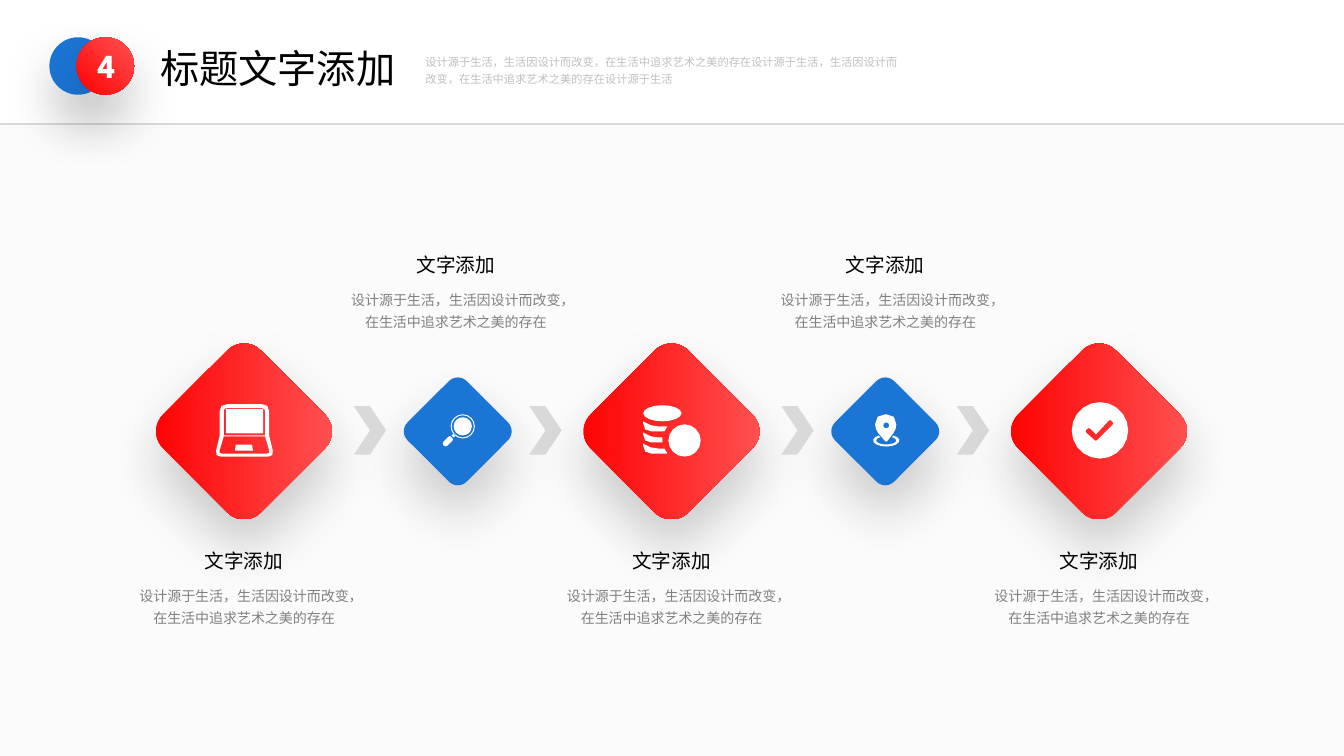
from dataclasses import dataclass
from math import cos, dist, radians, sin

from lxml import etree
from pptx import Presentation
from pptx.dml.color import RGBColor
from pptx.enum import shapes, text
from pptx.oxml import ns
from pptx.util import Inches, Pt

Contour = list[tuple[float, float]]
CJK_FONT, LATIN_FONT = "Noto Sans CJK SC", "League Spartan"
RED_GRADIENT = ("FE0000", "FF5353")
BLUE, GREY, WHITE = "1B75D5", "D9D9D9", "FFFFFF"
SLOGAN = "设计源于生活，生活因设计而改变，在生活中追求艺术之美的存在"
FIRST_X, STEP_X, ROW_Y = 2.42, 2.12, 4.28
CHEVRON_OFFSET = 0.87


@dataclass
class TextStyle:
    size: float
    color: str
    font: str
    align: text.PP_ALIGN = text.PP_ALIGN.LEFT
    spacing: float = 1.0
    wrap: bool = False
    bold: bool = False


@dataclass
class Step:
    is_main: bool
    icon: list[Contour]
    label_shift: float = 0


HEADING = TextStyle(28, "000000", CJK_FONT)
INTRO = TextStyle(8, "BFBFBF", LATIN_FONT, spacing=1.3, wrap=True)
NUMBER = TextStyle(24, WHITE, LATIN_FONT, text.PP_ALIGN.CENTER, bold=True)
LABEL = TextStyle(14, "000000", CJK_FONT, text.PP_ALIGN.CENTER)
DETAIL = TextStyle(10, "808080", LATIN_FONT, text.PP_ALIGN.CENTER, 1.3, True)


def arc(cx: float, cy: float, rx: float, ry: float, start: float = 0,
        end: float = 360, parts: int = 16) -> Contour:
    count = parts if end - start == 360 else parts + 1
    angles = [radians(start + (end - start) * i / parts) for i in range(count)]
    return [(cx + rx * cos(a), cy + ry * sin(a)) for a in angles]


def rounded(*corners: tuple[float, float, float]) -> Contour:
    """Closed polygon whose (x, y, cut) corners are curved over the cut length."""
    outline: Contour = []
    for i, (x, y, cut) in enumerate(corners):
        if not cut:
            outline.append((x, y))
            continue
        ends = []
        for nx, ny, _ in (corners[i - 1], corners[(i + 1) % len(corners)]):
            share = cut / dist((x, y), (nx, ny))
            ends.append((x + (nx - x) * share, y + (ny - y) * share))
        (ax, ay), (bx, by) = ends
        outline += [(ax, ay), ((ax + 2 * x + bx) / 4, (ay + 2 * y + by) / 4), (bx, by)]
    return outline


LAPTOP = [
    rounded((2.18, 4.01, .07), (2.67, 4.01, .07), (2.67, 4.32, 0),
            (2.72, 4.53, .06), (2.13, 4.53, .06), (2.18, 4.32, 0)),
    rounded((2.22, 4.05, .03), (2.63, 4.05, .03), (2.63, 4.32, 0), (2.22, 4.32, 0)),
    rounded((2.24, 4.06, 0), (2.61, 4.06, 0), (2.61, 4.3, 0), (2.24, 4.3, 0)),
    rounded((2.22, 4.33, 0), (2.63, 4.33, 0), (2.68, 4.5, .03), (2.17, 4.5, .03)),
    rounded((2.34, 4.41, 0), (2.5, 4.41, 0), (2.51, 4.47, 0), (2.33, 4.47, 0)),
]
MAGNIFIER = [
    *[arc(4.59, 4.23, r, r) for r in (.12, .11, .09)],
    rounded((4.46, 4.32, .02), (4.5, 4.36, .02), (4.42, 4.44, .03), (4.38, 4.4, .03)),
    rounded((4.5, 4.3, 0), (4.52, 4.32, 0), (4.5, 4.34, 0), (4.48, 4.32, 0)),
]
COINS = [
    arc(6.57, 4.1, .19, .08),
    arc(6.79, 4.37, .16, .16),
    *[rounded((6.38, 4.18 + drop, 0), (6.45, 4.23 + drop, .08), (top, 4.23 + drop, 0),
              (bottom, 4.28 + drop, 0), (6.38, 4.28 + drop, .08))
      for drop, top, bottom in ((0, 6.62, 6.59), (.11, 6.57, 6.57), (.22, 6.59, 6.62))],
]
PIN = [
    rounded((8.68, 4.11, .1), (8.89, 4.11, .1), (8.89, 4.26, .05),
            (8.79, 4.39, .02), (8.68, 4.26, .05)),
    arc(8.79, 4.22, .03, .03, parts=8),
    arc(8.79, 4.37, .13, .06, -55, 235, 12) + arc(8.79, 4.37, .1, .04, 235, -55, 12),
]
CHECK = [
    arc(10.91, 4.27, .28, .28, parts=20),
    rounded((10.76, 4.28, .02), (10.8, 4.24, .02), (10.87, 4.31, 0),
            (11.01, 4.16, .02), (11.05, 4.2, .02), (10.87, 4.38, .02)),
]
STEPS = [
    Step(True, LAPTOP),
    Step(False, MAGNIFIER, -0.02),
    Step(True, COINS),
    Step(False, PIN),
    Step(True, CHECK),
]


def rgb(hex_color: str) -> RGBColor:
    return RGBColor.from_string(hex_color)


def paint(shape, color: str | tuple[str, str]) -> None:
    """Fill with one colour, or with a rising two-colour gradient; no outline."""
    shape.shadow.inherit = False
    shape.line.fill.background()
    if isinstance(color, str):
        shape.fill.solid()
        shape.fill.fore_color.rgb = rgb(color)
        return
    shape.fill.gradient()
    shape.fill.gradient_angle = 45
    for position, (stop, stop_color) in enumerate(zip(shape.fill.gradient_stops, color)):
        stop.position = position
        stop.color.rgb = rgb(stop_color)


def add_block(slide, kind: shapes.MSO_SHAPE, left: float, top: float, width: float,
              height: float, color: str | tuple[str, str], floating: bool = False):
    block = slide.shapes.add_shape(kind, *map(Inches, (left, top, width, height)))
    paint(block, color)
    if floating:
        effects = block._element.spPr.find(ns.qn("a:effectLst"))
        shadow = etree.SubElement(effects, ns.qn("a:outerShdw"), blurRad=str(Pt(40)),
                                  dist=str(Pt(20)), dir="5400000", algn="t",
                                  rotWithShape="0")
        tint = etree.SubElement(shadow, ns.qn("a:srgbClr"), val="000000")
        etree.SubElement(tint, ns.qn("a:alpha"), val="20000")
    return block


def add_icon(slide, contours: list[Contour]) -> None:
    first, *others = [[(Inches(x), Inches(y)) for x, y in c] for c in contours]
    builder = slide.shapes.build_freeform(*first[0], scale=1.0)
    builder.add_line_segments(first[1:], close=True)
    for contour in others:
        builder.move_to(*contour[0])
        builder.add_line_segments(contour[1:], close=True)
    paint(builder.convert_to_shape(), WHITE)


def write(box, words: str, style: TextStyle) -> None:
    frame = box.text_frame
    frame.text = words
    paragraph = frame.paragraphs[0]
    font = paragraph.runs[0].font
    formats = [
        (frame, {"word_wrap": style.wrap, "vertical_anchor": text.MSO_ANCHOR.TOP,
                 "auto_size": text.MSO_AUTO_SIZE.SHAPE_TO_FIT_TEXT}),
        (paragraph, {"alignment": style.align, "line_spacing": style.spacing}),
        (font, {"size": Pt(style.size), "bold": style.bold, "name": style.font}),
    ]
    for target, values in formats:
        for attribute, value in values.items():
            setattr(target, attribute, value)
    font.color.rgb = rgb(style.color)
    etree.SubElement(font._element, ns.qn("a:ea"), typeface=CJK_FONT)


def add_text(slide, left: float, top: float, width: float, height: float,
             words: str, style: TextStyle) -> None:
    box = slide.shapes.add_textbox(*map(Inches, (left, top, width, height)))
    write(box, words, style)


def add_header(slide) -> None:
    add_block(slide, shapes.MSO_SHAPE.RECTANGLE, 0, 1.23, 13.33, 6.27, "FBFBFB")
    divider = slide.shapes.add_connector(
        shapes.MSO_CONNECTOR.STRAIGHT, *map(Inches, (0, 1.23, 13.33, 1.23)))
    divider.line.color.rgb = rgb(GREY)
    divider.line.width = Pt(1.5)
    etree.SubElement(divider._element.spPr, ns.qn("a:effectLst"))
    for left, color in ((0.49, BLUE), (0.76, RED_GRADIENT)):
        add_block(slide, shapes.MSO_SHAPE.OVAL, left, 0.37, 0.57, 0.57, color, True)
    heading = slide.shapes.title
    for side, length in {"left": 1.49, "top": 0.39, "width": 2.56, "height": 0.57}.items():
        setattr(heading, side, Inches(length))
    write(heading, "标题文字添加", HEADING)
    add_text(slide, 4.12, 0.46, 4.91, 0.43, SLOGAN * 2 + "设计源于生活", INTRO)
    add_text(slide, 0.86, 0.4, 0.39, 0.5, "4", NUMBER)


def add_step(slide, step: Step, x: float) -> None:
    size, color, corner, label_y, detail_y = (
        (1.37, RED_GRADIENT, 0.17, 5.4, 5.73) if step.is_main
        else (0.83, BLUE, 0.15, 2.46, 2.79))
    diamond = add_block(slide, shapes.MSO_SHAPE.ROUNDED_RECTANGLE, x - size / 2,
                        ROW_Y - size / 2, size, size, color, True)
    diamond.rotation = 45
    diamond.adjustments[0] = corner
    add_icon(slide, step.icon)
    for top, width, height, words, style in (
            (detail_y, 2.32, 0.52, SLOGAN, DETAIL),
            (label_y, 0.99, 0.34, "文字添加", LABEL)):
        add_text(slide, x + step.label_shift - width / 2, top, width, height, words, style)
    if not step.is_main:
        for offset in (-CHEVRON_OFFSET, CHEVRON_OFFSET):
            add_block(slide, shapes.MSO_SHAPE.CHEVRON, x + offset - 0.16, 4.03,
                      0.32, 0.48, GREY)


def main() -> None:
    deck = Presentation()
    deck.slide_width, deck.slide_height = Inches(13.33), Inches(7.5)
    slide = deck.slides.add_slide(deck.slide_layouts[5])
    add_header(slide)
    for index, step in enumerate(STEPS):
        add_step(slide, step, FIRST_X + index * STEP_X)
    deck.save("out.pptx")


if __name__ == "__main__":
    main()
